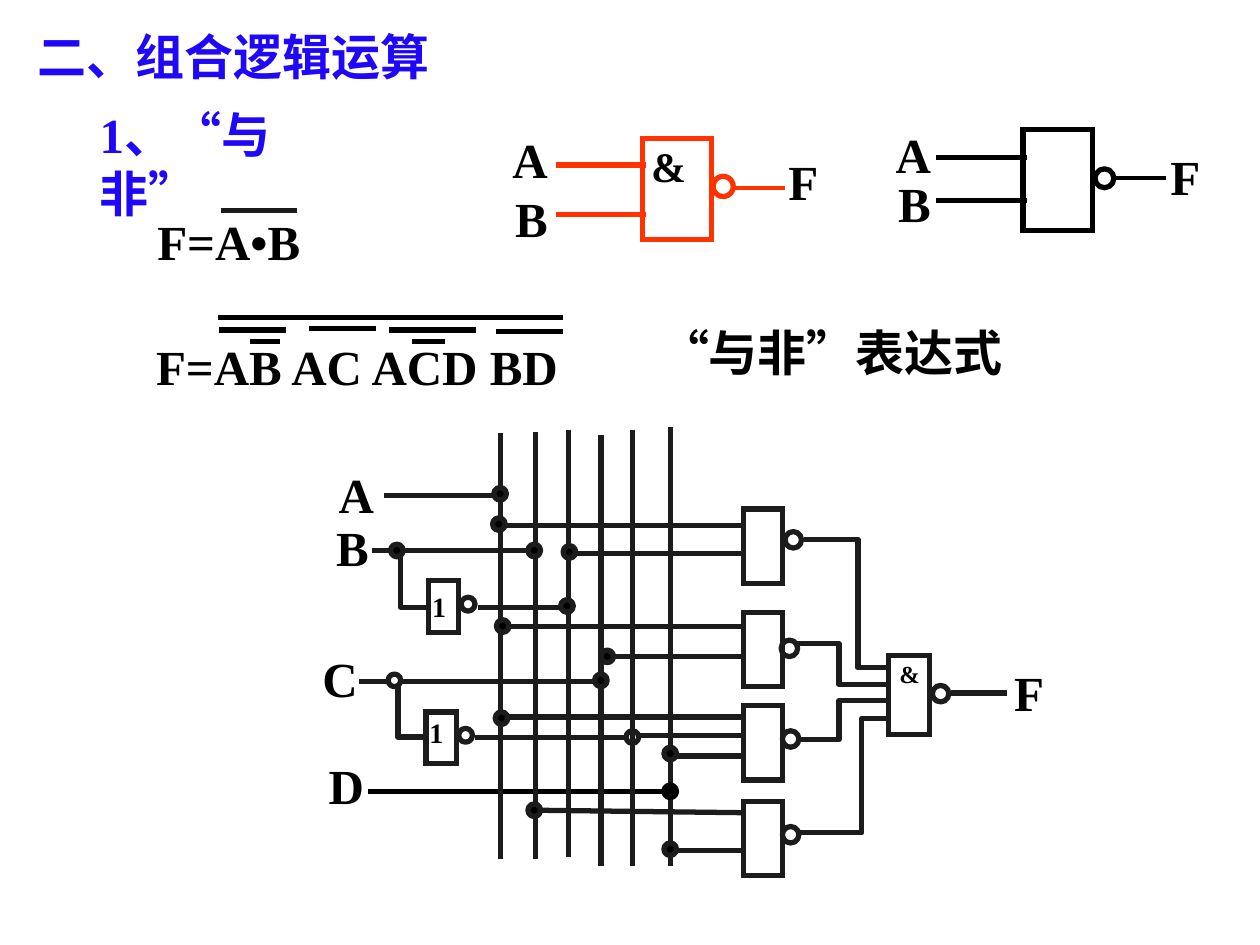
from lxml.etree import SubElement
from pptx import Presentation
from pptx.dml.color import RGBColor
from pptx.enum.shapes import MSO_CONNECTOR, MSO_SHAPE
from pptx.enum.text import MSO_ANCHOR, MSO_AUTO_SIZE, PP_ALIGN
from pptx.oxml.ns import qn
from pptx.util import Pt

COLOURS = {"heading": "1F08F8", "black": "000000", "ink": "1C1C1C",
           "accent": "FF3300", "white": "FFFFFF"}
SERIF = "Times New Roman"
FRAME = {"word_wrap": True, "auto_size": MSO_AUTO_SIZE.NONE,
         "vertical_anchor": MSO_ANCHOR.TOP}
PARAGRAPH = {"alignment": PP_ALIGN.LEFT, "space_before": Pt(0)}

HEADINGS = [
    ("二、组合逻辑运算", (14.4, 11.5, 252, 41.8), "Calibri"),
    ("1、“与非”", (49.7, 56.2, 158.4, 41), SERIF),
]
LABELS = [
    ("F=A•B", 82.8, 117.4, 113.8, 28),
    ("F=AB AC ACD BD", 82.1, 188.6, 251.3, 28),
    ("“与非”表达式", 370.1, 180.7, 251.3, 28),
    ("A", 504.7, 67.7, 36, 28), ("B", 506.2, 95.8, 36, 28),
    ("F", 661.7, 79.9, 36, 28),
    ("A", 285.8, 70.6, 36, 28), ("B", 287.3, 104.4, 36, 28),
    ("F", 443.5, 82.8, 36, 28), ("&", 365, 77, 36, 24),
    ("A", 186.5, 262.1, 52.6, 28), ("B", 185, 292.3, 40.3, 28),
    ("C", 177.1, 367.2, 48.2, 28), ("D", 180.7, 428.4, 36, 28),
    ("F", 572.4, 375.1, 49, 28), ("&", 506.9, 373, 31.7, 14),
    ("1", 239.8, 333.4, 31.7, 16), ("1", 238.3, 405.4, 31.7, 16),
]
OVERBARS = [
    (142.6, 159.8, 195.1), (235.4, 254.2, 195.1), (125.3, 163.4, 188.6),
    (176.4, 214.6, 187.9), (283.7, 321.8, 189.4), (222.5, 272.2, 188.6),
    (124.6, 321.8, 181.4),
]
NAND_SYMBOLS = [
    {"colour": "black", "body": (584.6, 74.2), "inputs": (90, 114.5),
     "bubble": (625.7, 96.5, 10.8), "output": (636.5, 666, 101.5)},
    {"colour": "accent", "body": (367.2, 79.2), "inputs": (94.3, 122.4),
     "bubble": (407.5, 100.8, 11.5), "output": (418.3, 448.6, 107.3)},
]
BUSES = [
    (285.8, 247.7, 491), (306, 247, 491), (324.7, 245.5, 489.6),
    (343.4, 248.4, 494.6), (361.4, 245.5, 494.6), (383, 244.1, 494.6),
]
SIGNAL_WIRES = [
    (219.6, 284.4, 283), (212.4, 304.6, 314.6), (205.2, 342, 389.5),
    (272.9, 323.3, 347), (271.4, 363.6, 421.4), (543.6, 575.3, 396),
]
GATE_X = 424.8
GATE_INPUTS = [
    (285.8, 300.2), (324.7, 316.1), (285.1, 357.8), (344.9, 375.1),
    (285.8, 409.7), (364.3, 420.5), (382.3, 432), (383, 486),
]
GATES = [(290.9, 448.6, 303.8), (349.9, 446.4, 365.8),
         (403.2, 447.1, 417.6), (457.9, 447.1, 472.3)]
INVERTERS = [(244.8, 331.9), (243.4, 406.8)]
INVERTER_FEEDS = [
    [(229, 313.2), (229, 347), (246.2, 347)],
    [(227.5, 388.1), (227.5, 421.2), (244.8, 421.2)],
]
GATE_OUTPUTS = [
    (455, 367.9, 479.5, 391), (459.4, 308.2, 490.3, 381.6),
    (456.5, 422.6, 479.5, 400.3), (456.5, 475.9, 492.5, 410.4),
]
FINAL_X = 507.6
OPEN_JUNCTIONS = [(361.4, 421.2), (225.4, 388.8)]
JUNCTIONS = [
    (285.8, 282.2), (305.3, 314.6), (324, 346.3), (226.8, 314.6),
    (343.4, 388.8), (285.1, 299.5), (325.4, 315.4), (287.3, 357.8),
    (347, 375.1), (286.6, 410.4), (383, 430.6), (305.3, 463), (383, 485.3),
]
DOT = 7.2


def rgb(name):
    return RGBColor.from_string(COLOURS[name])


def apply(target, formats):
    for key, value in formats.items():
        setattr(target, key, value)


def write(holder, text, size, font, colour):
    frame = holder.text_frame
    frame.text = text
    apply(frame, FRAME)
    paragraph = frame.paragraphs[0]
    apply(paragraph, PARAGRAPH)
    run = paragraph.runs[0]
    apply(run.font, {"size": Pt(size), "name": font, "bold": True})
    run.font.color.rgb = rgb(colour)
    return paragraph


def outline(part, colour, weight=3):
    part.line.color.rgb = rgb(colour)
    part.line.width = Pt(weight)


def wire(shapes, x1, y1, x2, y2, colour="ink", weight=3):
    line = shapes.add_connector(MSO_CONNECTOR.STRAIGHT, *map(Pt, (x1, y1, x2, y2)))
    outline(line, colour, weight)
    SubElement(line._element.spPr, qn("a:effectLst"))


def figure(shapes, kind, box, colour="ink", fill=None):
    shape = shapes.add_shape(kind, *map(Pt, box))
    outline(shape, colour)
    if fill:
        shape.fill.solid()
        shape.fill.fore_color.rgb = rgb(fill)
    else:
        shape.fill.background()
    shape.shadow.inherit = False
    if kind == MSO_SHAPE.RECTANGLE:
        SubElement(shape._element.spPr.find(qn("a:ln")), qn("a:miter"), lim="800000")


def bubble(shapes, x, y, size, colour="ink"):
    figure(shapes, MSO_SHAPE.OVAL, (x, y, size, size), colour)


def junction(shapes, x, y, fill="black", colour="ink"):
    figure(shapes, MSO_SHAPE.OVAL, (x - DOT / 2, y - DOT / 2, DOT, DOT), colour, fill)


def elbow(shapes, points):
    start, *rest = [(Pt(x), Pt(y)) for x, y in points]
    builder = shapes.build_freeform(*start)
    builder.add_line_segments(rest, close=False)
    path = builder.convert_to_shape()
    path.fill.background()
    path.shadow.inherit = False
    outline(path, "ink")


def draw_symbol(shapes, colour, body, inputs, bubble_box, output):
    left, top = body
    figure(shapes, MSO_SHAPE.RECTANGLE, (left, top, 39.6, 57.6), colour)
    for y in inputs:
        wire(shapes, left - 49.7, y, left + 2.2, y, colour)
    start, end, y = output
    wire(shapes, start, y, end, y, colour, 2.25)
    bubble(shapes, *bubble_box, colour)


def draw_circuit(shapes):
    for start, end, y in SIGNAL_WIRES:
        wire(shapes, start, y, end, y)
    wire(shapes, 210.2, 452.2, 384.5, 452.2, "black")
    for x, y in GATE_INPUTS:
        wire(shapes, x, y, GATE_X, y)
    wire(shapes, 306, 463, GATE_X, 464.4)
    for feed in INVERTER_FEEDS:
        elbow(shapes, feed)
    for x1, y1, turn, y2 in GATE_OUTPUTS:
        elbow(shapes, [(x1, y1), (turn, y1), (turn, y2), (FINAL_X, y2)])
    for x, y in OPEN_JUNCTIONS:
        junction(shapes, x, y, "white")
    for x, top, bottom in BUSES:
        wire(shapes, x, top, x, bottom)
    for x, y in JUNCTIONS:
        junction(shapes, x, y)
    junction(shapes, 383, 452.2, colour="black")
    for x, y in INVERTERS:
        figure(shapes, MSO_SHAPE.RECTANGLE, (x, y, 17.3, 29.5))
        bubble(shapes, x + 18.7, y + 9.4, 7.9)
    for top, x, y in GATES:
        figure(shapes, MSO_SHAPE.RECTANGLE, (GATE_X, top, 22.3, 42.5))
        bubble(shapes, x, y, 9.4)
    figure(shapes, MSO_SHAPE.RECTANGLE, (FINAL_X, 374.4, 23.8, 45.4))
    bubble(shapes, 532.8, 391.7, 9.4)


def main():
    """Build the slide on combinational logic with NAND gates."""
    deck = Presentation()
    apply(deck, {"slide_width": Pt(720), "slide_height": Pt(540)})
    slide = deck.slides.add_slide(deck.slide_layouts[1])
    shapes = slide.shapes
    for holder, (text, box, font) in zip(slide.placeholders, HEADINGS):
        apply(holder, dict(zip(("left", "top", "width", "height"), map(Pt, box))))
        properties = write(holder, text, 28, font, "heading")._p.get_or_add_pPr()
        properties.set("marL", "0")
        properties.set("indent", "0")
        SubElement(properties, qn("a:buNone"))
    for symbol in NAND_SYMBOLS:
        draw_symbol(shapes, *symbol.values())
    wire(shapes, 126, 120.2, 169.9, 120.2)
    for start, end, y in OVERBARS:
        wire(shapes, start, y, end, y, "black")
    draw_circuit(shapes)
    for text, left, top, width, size in LABELS:
        label = shapes.add_textbox(*map(Pt, (left, top, width, size + 13)))
        write(label, text, size, SERIF, "black")
    deck.save("out.pptx")


if __name__ == "__main__":
    main()
